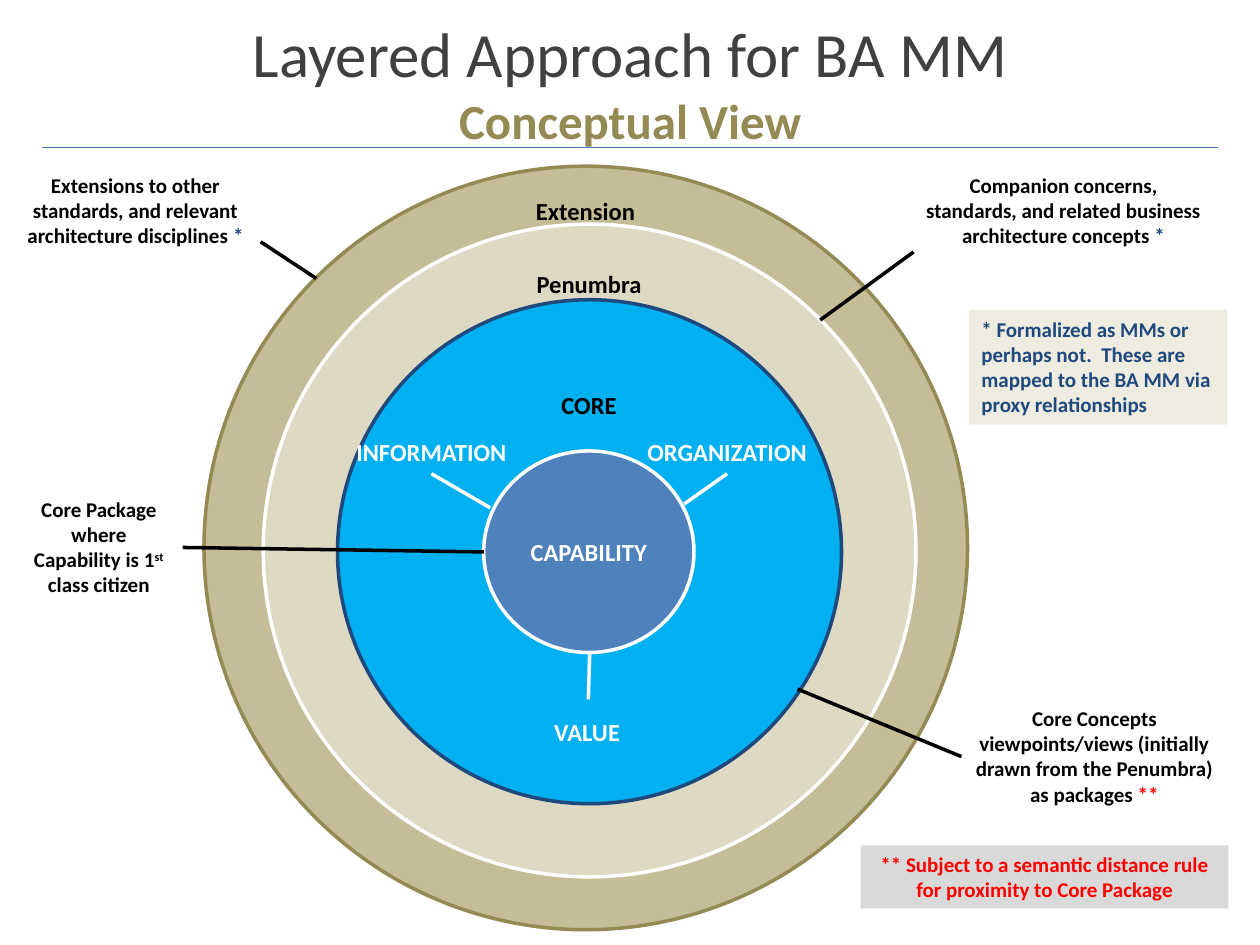
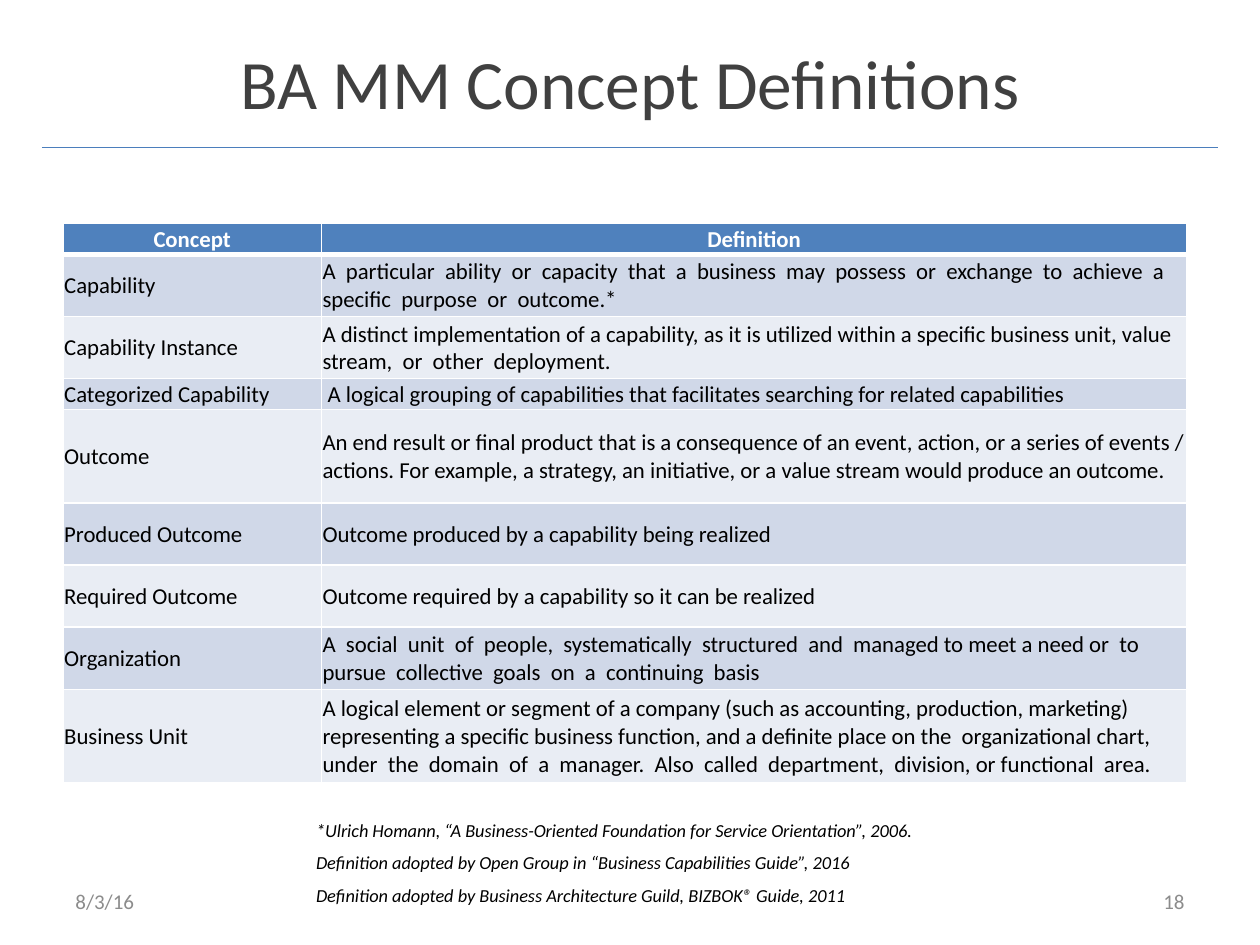
from lxml import etree
from pptx import Presentation
from pptx.dml.color import RGBColor
from pptx.enum import shapes as kinds, text as txt
from pptx.oxml import ns
from pptx.util import Pt

FONT = "Calibri"
BLACK = RGBColor(0, 0, 0)
WHITE = RGBColor(255, 255, 255)
CHARCOAL = RGBColor(0x40, 0x40, 0x40)
FOOTER_GRAY = RGBColor(0x8C, 0x8C, 0x8C)
NOTE_GRAY = RGBColor(0xD9, 0xD9, 0xD9)
CREAM = RGBColor(0xEE, 0xEC, 0xE1)
SAND = RGBColor(0xDD, 0xD9, 0xC3)
TAN = RGBColor(0xC4, 0xBD, 0x97)
OLIVE = RGBColor(0x94, 0x8A, 0x54)
SKY = RGBColor(0x00, 0xB0, 0xF0)
NAVY = RGBColor(0x1F, 0x49, 0x7D)
BLUE = RGBColor(0x4F, 0x81, 0xBD)
RULE_BLUE = RGBColor(0x4B, 0x7E, 0xBC)
RED = RGBColor(255, 0, 0)
BAND_DARK = RGBColor(0xD0, 0xD8, 0xE8)
BAND_LIGHT = RGBColor(0xE9, 0xED, 0xF4)

LEFT, CENTER, RIGHT = txt.PP_ALIGN.LEFT, txt.PP_ALIGN.CENTER, txt.PP_ALIGN.RIGHT
TOP, MIDDLE = txt.MSO_ANCHOR.TOP, txt.MSO_ANCHOR.MIDDLE
ABOVE, BELOW = 0, 2
LEFT_SIDE, RIGHT_SIDE = 1, 3

ROW_UNIT = 17.76
DEFINITIONS = [
    ("Concept", "Definition", 1),
    ("Capability", "A  particular  ability  or  capacity  that  a  business  may  possess  or  "
     "exchange  to  achieve  a  specific  purpose  or  outcome.*", 2),
    ("Capability Instance", "A distinct implementation of a capability, as it is utilized within "
     "a specific business unit, value  stream,  or  other  deployment.", 2),
    ("Categorized Capability", " A logical grouping of capabilities that facilitates searching "
     "for related capabilities", 1),
    ("Outcome", "An end result or final product that is a consequence of an event, action, or a "
     "series of events / actions. For example, a strategy, an initiative, or a value stream "
     "would produce an outcome.", 3),
    ("Produced Outcome", "Outcome produced by a capability being realized", 2),
    ("Required Outcome", "Outcome required by a capability so it can be realized", 2),
    ("Organization", "A  social  unit  of  people,  systematically  structured  and  managed to "
     "meet a need or  to  pursue  collective  goals  on  a  continuing  basis", 2),
    ("Business Unit", "A logical element or segment of a company (such as accounting, production, "
     "marketing) representing a specific business function, and a definite place on the  "
     "organizational chart, under  the  domain  of  a  manager.  Also  called  department,  "
     "division, or functional  area.", 3),
]
REFERENCES = [
    "*Ulrich Homann, “A Business-Oriented Foundation for Service Orientation”, 2006.",
    "Definition adopted by Open Group in “Business Capabilities Guide”, 2016",
    "Definition adopted by Business Architecture Guild, BIZBOK® Guide, 2011",
]


def add_run(paragraph, wording, size, color, bold=False, italic=False):
    """Add one formatted run and return it."""
    run = paragraph.add_run()
    run.text = wording
    font = run.font
    font.name, font.size, font.bold, font.italic = FONT, Pt(size), bold, italic
    font.color.rgb = color
    return run


def write(frame, paragraphs, size, bold=False, italic=False, align=LEFT, anchor=TOP,
          wrap=True, after=0):
    """Fill a text frame with paragraphs, each a list of (wording, color) runs."""
    frame.word_wrap = wrap
    frame.auto_size = txt.MSO_AUTO_SIZE.NONE
    frame.vertical_anchor = anchor
    for index, runs in enumerate(paragraphs):
        paragraph = frame.add_paragraph() if index else frame.paragraphs[0]
        paragraph.alignment = align
        paragraph.space_after = Pt(after)
        for wording, color in runs:
            add_run(paragraph, wording, size, color, bold, italic)


def add_text(slide, box, paragraphs, size, **style):
    """Add a text box at box, given in points."""
    holder = slide.shapes.add_textbox(*map(Pt, box))
    write(holder.text_frame, paragraphs, size, **style)
    return holder


def add_line(slide, start, end, color, width=2):
    """Add a straight line without shadow."""
    line = slide.shapes.add_connector(kinds.MSO_CONNECTOR.STRAIGHT, *map(Pt, (*start, *end)))
    line.line.color.rgb = color
    line.line.width = Pt(width)
    etree.SubElement(line._element.spPr, ns.qn("a:effectLst"))
    return line


def add_filled(slide, kind, box, fill, outline=None):
    """Add a flat preset shape, with an optional outline."""
    shape = slide.shapes.add_shape(kind, *map(Pt, box))
    shape.shadow.inherit = False
    shape.fill.solid()
    shape.fill.fore_color.rgb = fill
    if outline is None:
        shape.line.fill.background()
    else:
        shape.line.color.rgb = outline
        shape.line.width = Pt(2)
    return shape


def add_titled_slide(deck, title, size, subtitle=None):
    """Add a slide with the shared title and rule."""
    slide = deck.slides.add_slide(deck.slide_layouts[5])
    add_line(slide, (24, 84.4), (696, 84.4), RULE_BLUE, 0.75)
    heading = slide.shapes.title
    heading.left, heading.top, heading.width, heading.height = map(Pt, (36, 21.6, 648, 50.4))
    write(heading.text_frame, [[(title, CHARCOAL)]], size, align=CENTER, anchor=MIDDLE)
    if subtitle:
        paragraph = heading.text_frame.paragraphs[0]
        paragraph.add_line_break()
        add_run(paragraph, subtitle, 28, OLIVE, bold=True)
    return slide


def add_layers(slide, left, top):
    """Draw the nested layers, their labels and the spokes from the capability."""
    def at(x, y):
        return left + x, top + y

    def label(x, y, width, wording, color):
        return add_text(slide, (*at(x, y), width, 24.5), [[(wording, color)]], 14,
                        bold=True, align=CENTER, wrap=False)

    for x, y, width, height, fill, outline in (
        (0, 0, 436.3, 436.3, TAN, OLIVE),
        (33.8, 33.1, 373, 373, SAND, WHITE),
        (76.3, 76.3, 288, 288, SKY, NAVY),
        (159.8, 162.7, 120.2, 115.2, BLUE, WHITE),
    ):
        layer = add_filled(slide, kinds.MSO_SHAPE.OVAL, (*at(x, y), width, height), fill, outline)
    write(layer.text_frame, [[("CAPABILITY", WHITE)]], 14, bold=True,
          align=CENTER, anchor=MIDDLE, wrap=False)

    for center, y, wording in ((218, 13.5, "Extension"), (220, 55, "Penumbra"),
                               (220, 124.3, "CORE")):
        label(center - 55, y, 110, wording, BLACK)

    information = label(79.2, 151.2, 101.5, "INFORMATION", WHITE)
    organization = label(245.6, 151.2, 106.6, "ORGANIZATION", WHITE)
    label(175, 311.1, 87.8, "VALUE", WHITE)
    add_line(slide, at(130, 175.7), at(163.5, 195.2), WHITE).begin_connect(information, BELOW)
    add_line(slide, at(274.4, 193), at(298.9, 175.7), WHITE).end_connect(organization, BELOW)
    add_line(slide, at(220.4, 277.2), at(219.6, 304.6), WHITE)


def add_callout(slide, box, runs, start, end, side=None):
    """Add an explanation and its pointer, joined to the given side if any."""
    explanation = add_text(slide, box, [runs], 12, bold=True, align=CENTER)
    pointer = add_line(slide, start, end, BLACK)
    if side is not None:
        pointer.begin_connect(explanation, side)
    return explanation


def add_note(slide, box, fill, paragraphs, align=LEFT):
    """Add a shaded footnote."""
    note = add_filled(slide, kinds.MSO_SHAPE.RECTANGLE, box, fill)
    write(note.text_frame, paragraphs, 12, bold=True, align=align)


def build_layers_slide(deck):
    """Build the conceptual view of the layers."""
    slide = add_titled_slide(deck, "Layered Approach for BA MM", 36, "Conceptual View")
    add_layers(slide, 116.6, 95)
    add_callout(slide, (0, 95, 154.8, 51.1),
                [("Extensions to other standards, and relevant architecture disciplines ", BLACK),
                 ("*", NAVY)], (149, 138.2), (180.7, 159.1))
    add_callout(slide, (522, 95, 171.4, 51.1),
                [("Companion concerns, standards, and related business architecture concepts ",
                  BLACK), ("*", NAVY)], (522, 144), (468.7, 182.9))
    core_package = add_callout(
        slide, (8.6, 280.1, 95.8, 65.5),
        [("Core Package where Capability is 1", BLACK), ("st", BLACK), (" class citizen", BLACK)],
        (104.4, 313), (276.5, 315.4), RIGHT_SIDE)
    ordinal = core_package.text_frame.paragraphs[0].runs[1]
    ordinal._r.get_or_add_rPr().set("baseline", "30000")
    add_callout(slide, (549.4, 399.6, 151.9, 65.5),
                [("Core Concepts viewpoints/views (initially drawn from the Penumbra) "
                  "as packages ", BLACK), ("**", RED)],
                (549.4, 432), (455.8, 393.8), LEFT_SIDE)
    add_note(slide, (553.7, 177.1, 147.6, 65.5), CREAM,
             [[("* Formalized as MMs or perhaps not.  These are", NAVY)],
              [("mapped to the BA MM via proxy relationships", NAVY)]])
    add_note(slide, (491.8, 483.1, 210.2, 36), NOTE_GRAY,
             [[("** Subject to a semantic distance rule for proximity to Core Package", RED)]],
             CENTER)


def set_borders(cell, top, bottom):
    """Give a cell white borders, with top and bottom widths in points."""
    properties = cell._tc.get_or_add_tcPr()
    for index, (edge, width) in enumerate((("L", 1), ("R", 1), ("T", top), ("B", bottom))):
        line = etree.Element(ns.qn(f"a:ln{edge}"), w=str(Pt(width)))
        fill = etree.SubElement(line, ns.qn("a:solidFill"))
        etree.SubElement(fill, ns.qn("a:srgbClr"), val=str(WHITE))
        properties.insert(index, line)


def add_definitions(slide, left, top):
    """Add the table of concepts and definitions."""
    widths = (147.6, 494.64)
    units = [row[2] for row in DEFINITIONS]
    table = slide.shapes.add_table(len(units), 2, Pt(left), Pt(top), Pt(sum(widths)),
                                   Pt(sum(units) * ROW_UNIT)).table
    for column, width in zip(table.columns, widths):
        column.width = Pt(width)
    for index, (concept, definition, unit) in enumerate(DEFINITIONS):
        header = index == 0
        table.rows[index].height = Pt(unit * ROW_UNIT)
        band = BLUE if header else BAND_DARK if index % 2 else BAND_LIGHT
        for cell, wording in zip(table.rows[index].cells, (concept, definition)):
            cell.margin_left = cell.margin_right = cell.margin_top = Pt(0.72)
            cell.margin_bottom = 0
            cell.vertical_anchor = MIDDLE
            cell.fill.solid()
            cell.fill.fore_color.rgb = band
            set_borders(cell, 3 if index == 1 else 1, 3 if header else 1)
            paragraph = cell.text_frame.paragraphs[0]
            paragraph.alignment = CENTER if header else LEFT
            add_run(paragraph, wording, 13, WHITE if header else BLACK, bold=header)


def add_footer(slide, date, number):
    """Add the date and the slide number."""
    for left, wording, align in ((36, date, LEFT), (516, number, RIGHT)):
        add_text(slide, (left, 500.4, 168, 28.8), [[(wording, FOOTER_GRAY)]], 12,
                 align=align, anchor=MIDDLE)


def build_definitions_slide(deck):
    """Build the slide of concept definitions."""
    slide = add_titled_slide(deck, "BA MM Concept Definitions", 39.6)
    add_definitions(slide, 36, 127.6)
    add_footer(slide, "8/3/16", "18")
    add_text(slide, (173.5, 464.4, 366.5, 57.6), [[(line, BLACK)] for line in REFERENCES], 10.5,
             italic=True, after=6)


def main():
    """Build and save both slides."""
    deck = Presentation()
    deck.slide_width, deck.slide_height = Pt(720), Pt(540)
    build_layers_slide(deck)
    build_definitions_slide(deck)
    deck.save("out.pptx")


if __name__ == "__main__":
    main()
